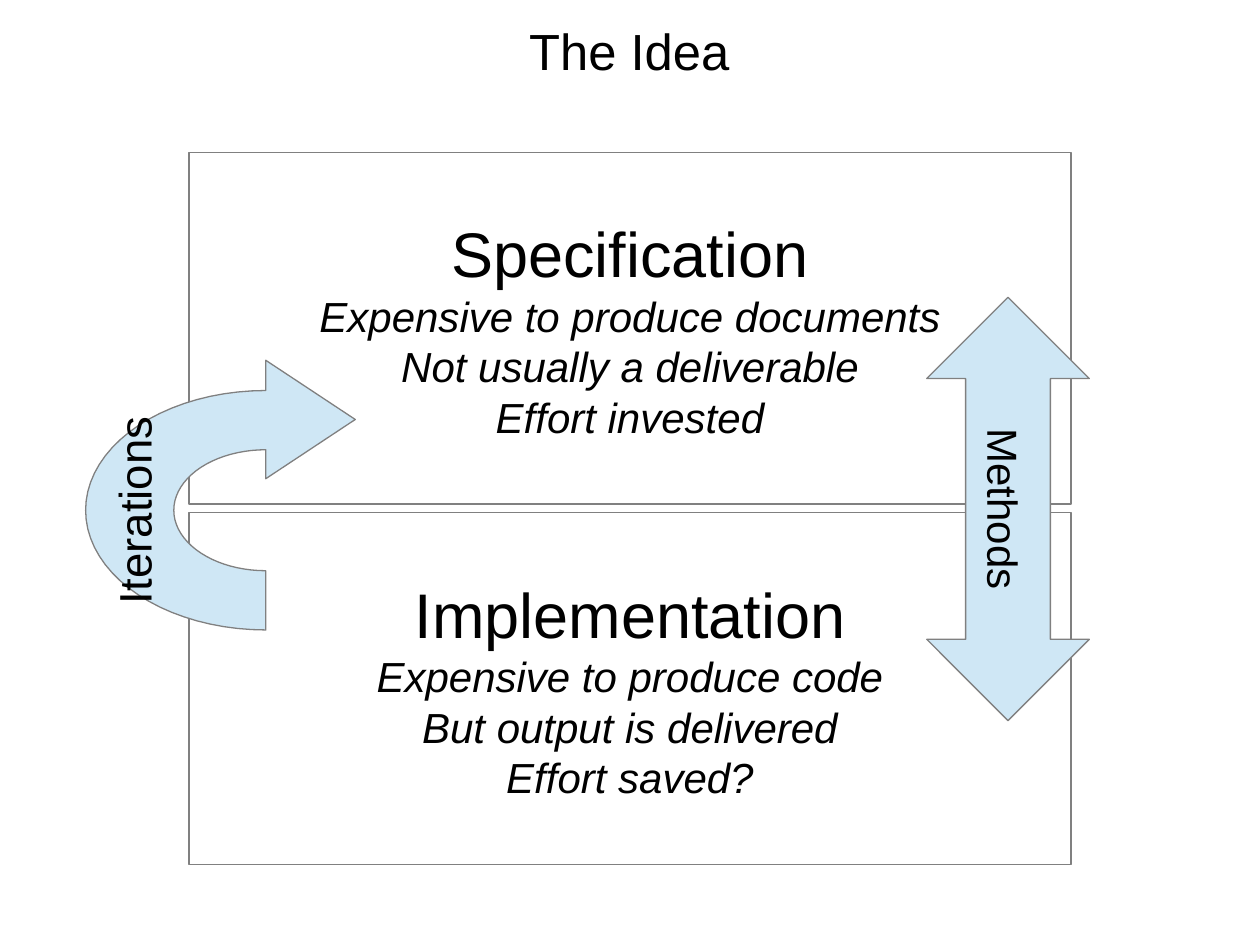
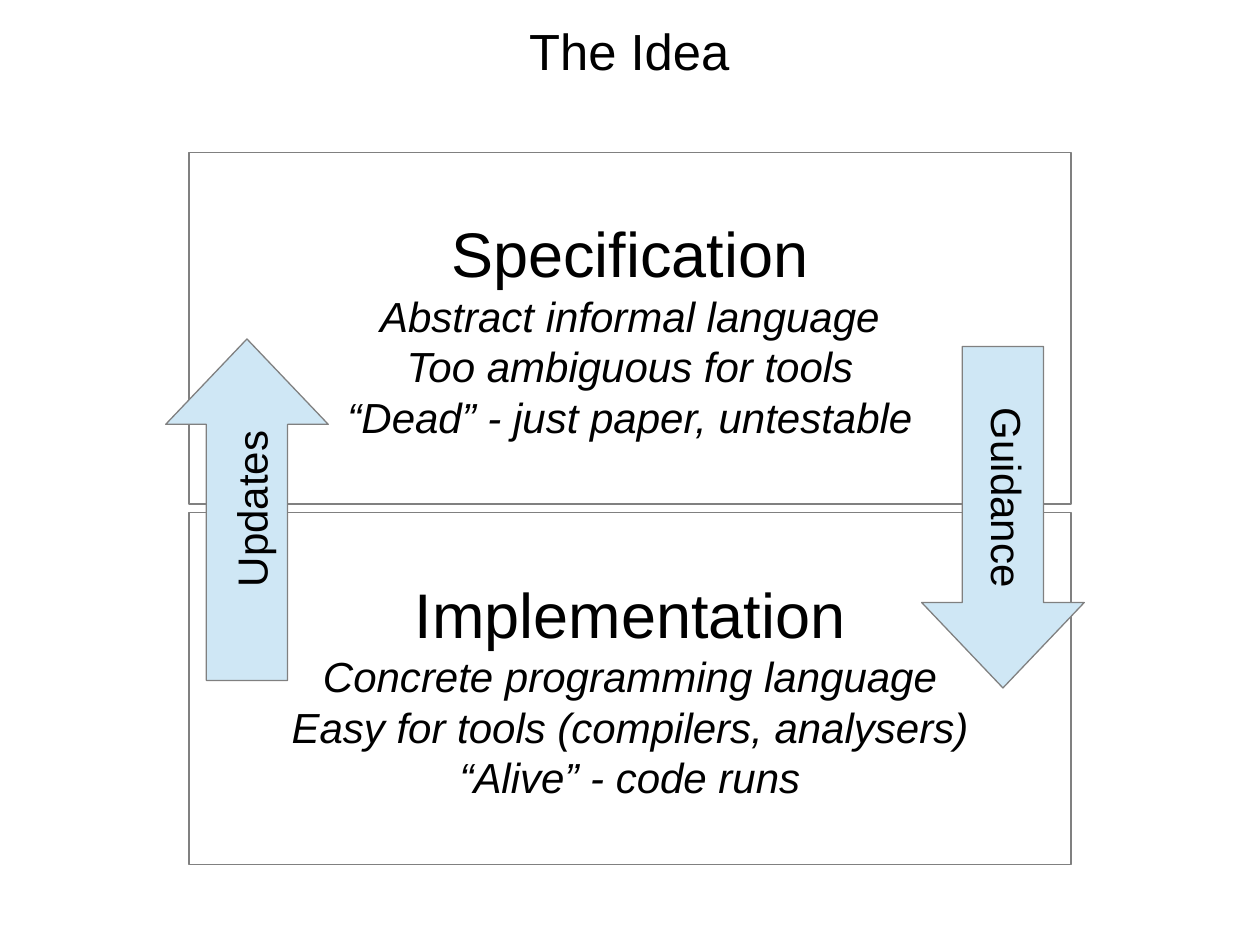
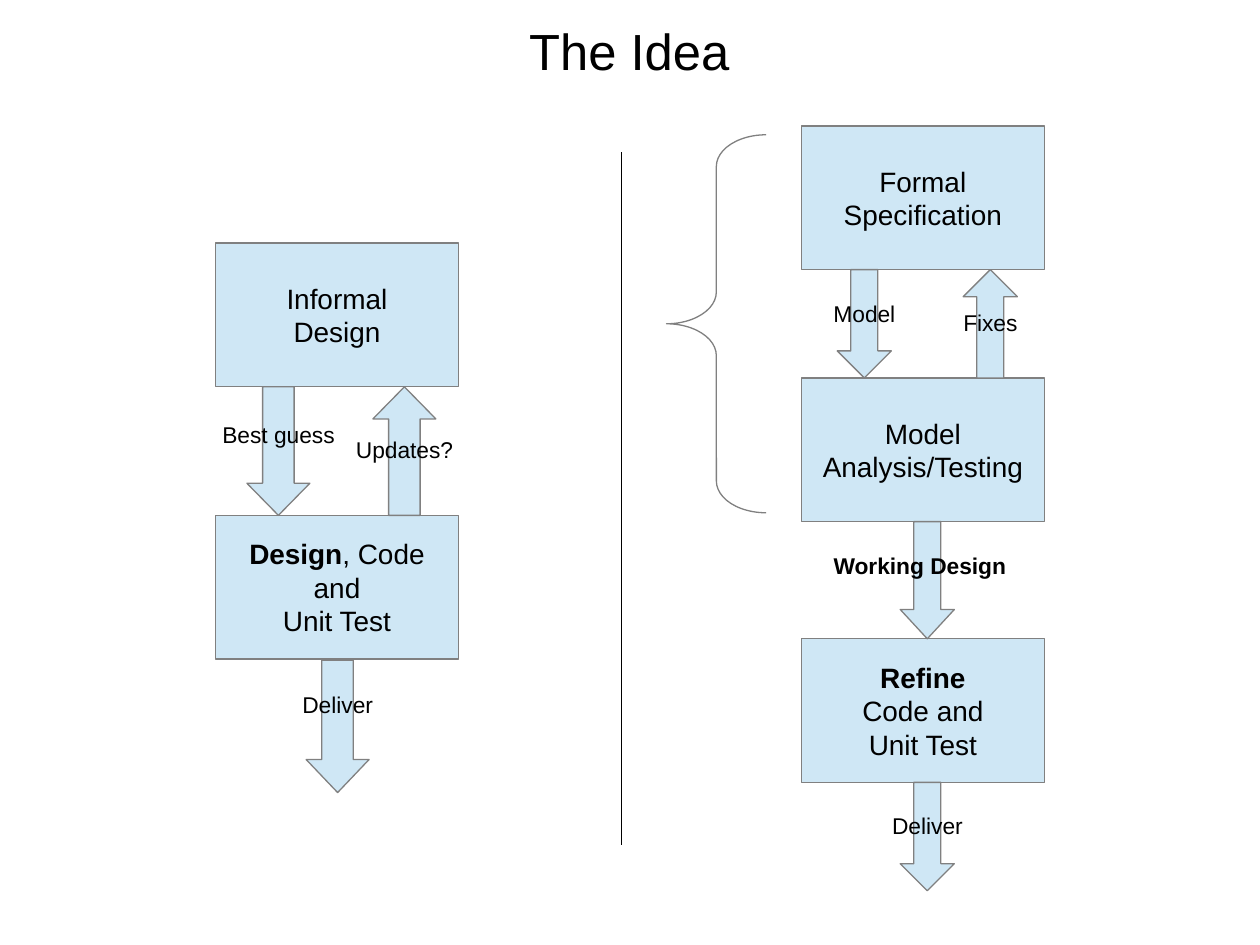
"""Build three slides on specification, implementation and the flow between them."""
import math

import pptx
import pptx.dml.color
import pptx.enum.shapes
import pptx.enum.text
import pptx.oxml
import pptx.oxml.ns
import pptx.util
from pptx.util import Inches

RGB = pptx.dml.color.RGBColor
KIND = pptx.enum.shapes.MSO_SHAPE
ALIGN = pptx.enum.text.PP_ALIGN
ANCHOR = pptx.enum.text.MSO_ANCHOR

BLACK = RGB(0x00, 0x00, 0x00)
GREY = RGB(0x80, 0x80, 0x80)
SKY = RGB(0xCF, 0xE7, 0xF5)
FONT = "Arial"
TITLE = "The Idea"
INSETS = (0.09, 0.04, 0.09, 0.04)

UP, DOWN, BOTH = KIND.UP_ARROW, KIND.DOWN_ARROW, KIND.UP_DOWN_ARROW

PANELS = [
    [("Specification", ["Expensive to produce documents",
                        "Not usually a deliverable", "Effort invested"]),
     ("Implementation", ["Expensive to produce code",
                         "But output is delivered", "Effort saved?"])],
    [("Specification", ["Abstract informal language",
                        "Too ambiguous for tools",
                        "“Dead” - just paper, untestable"]),
     ("Implementation", ["Concrete programming language",
                         "Easy for tools (compilers, analysers)",
                         "“Alive” - code runs"])],
]

# kind, middle x, top, height, label, label middle x, label middle y, turn
BIG = [
    [(BOTH, 8, 2.36, 3.36, "Methods", 7.97, 4.04, 90)],
    [(DOWN, 7.96, 2.75, 2.71, "Guidance", 8, 3.95, 90),
     (UP, 1.96, 2.69, 2.71, "Updates", 1.99, 4.04, 270)],
]

# left, top, lines of (text, bold) runs
STEPS = [
    (1.71, 1.93, [[("Informal", False)], [("Design", False)]]),
    (1.71, 4.09, [[("Design", True), (", Code", False)],
                  [("and", False)], [("Unit Test", False)]]),
    (6.36, 1, [[("Formal", False)], [("Specification", False)]]),
    (6.36, 3, [[("Model", False)], [("Analysis/Testing", False)]]),
    (6.36, 5.07, [[("Refine", True)], [("Code and", False)],
                  [("Unit Test", False)]]),
]

# kind, middle x, top, width, height, label, label middle x, label drop, bold
FLOWS = [
    (DOWN, 2.21, 3.07, 0.5, 1.02, "Best guess", 2.21, 0.38, False),
    (UP, 3.21, 3.07, 0.5, 1.02, "Updates?", 3.21, 0.5, False),
    (DOWN, 2.68, 5.24, 0.5, 1.05, "Deliver", 2.68, 0.35, False),
    (DOWN, 6.86, 2.14, 0.43, 0.86, "Model", 6.86, 0.35, False),
    (UP, 7.86, 2.14, 0.43, 0.86, "Fixes", 7.86, 0.42, False),
    (DOWN, 7.36, 4.14, 0.43, 0.93, "Working Design", 7.3, 0.35, True),
    (DOWN, 7.36, 6.21, 0.43, 0.86, "Deliver", 7.36, 0.34, False),
]


def write(shape, lines, align=ALIGN.CENTER, insets=INSETS):
    frame = shape.text_frame
    frame.word_wrap = True
    frame.vertical_anchor = ANCHOR.MIDDLE
    (frame.margin_left, frame.margin_top,
     frame.margin_right, frame.margin_bottom) = map(Inches, insets)
    for row, runs in enumerate(lines):
        para = frame.add_paragraph() if row else frame.paragraphs[0]
        para.alignment = align
        for text, size, bold, slant in runs:
            run = para.add_run()
            run.text = text
            font = run.font
            font.name, font.size = FONT, pptx.util.Pt(size)
            font.bold, font.italic = bold, slant
            font.color.rgb = BLACK


def paint(shape, fill):
    shape.shadow.inherit = False
    if fill is None:
        shape.fill.background()
    else:
        shape.fill.solid()
        shape.fill.fore_color.rgb = fill
    shape.line.color.rgb = GREY
    shape.line.width = pptx.util.Pt(0.75)
    return shape


def draw(slide, kind, left, top, width, height, fill=SKY):
    return paint(slide.shapes.add_shape(
        kind, *map(Inches, (left, top, width, height))), fill)


def arrow(slide, kind, mid, top, width, height):
    shape = draw(slide, kind, mid - width / 2, top, width, height)
    share = 0.2 if kind == BOTH else 0.25
    shape.adjustments[0] = 0.5
    shape.adjustments[1] = share * height / min(width, height)


def label(slide, text, mid, level, width, size, turn=0, bold=False):
    height = 0.5 if turn else 0.4
    box = slide.shapes.add_textbox(*map(Inches, (
        mid - width / 2, level - height / 2, width, height)))
    box.rotation = turn
    write(box, [[(text, size, bold, False)]])


def title(slide):
    box = slide.shapes.add_textbox(*map(Inches, (4.2, 0.05, 1.6, 0.7)))
    write(box, [[(TITLE, 29, False, False)]], ALIGN.LEFT, (0, 0, 0, 0))


def curve(mid, level, wide, high, steps=40):
    turns = [math.pi * (0.5 + step / steps) for step in range(steps + 1)]
    return [(mid + wide * math.cos(turn), level - high * math.sin(turn))
            for turn in turns]


def loop(slide):
    mid, level = 2.11, 4.05
    inner = curve(mid, level, 0.73, 0.48)
    outer = curve(mid, level, 1.43, 0.95)
    head = [(mid, 2.86), (2.82, 3.33), (mid, 3.8)]
    points = [(Inches(x), Inches(y)) for x, y in inner + outer[::-1] + head]
    form = slide.shapes.build_freeform(*points[0], scale=1.0)
    form.add_line_segments(points[1:], close=True)
    paint(form.convert_to_shape(), SKY)
    label(slide, "Iterations", 1.06, level, 1.83, 26, 270)


def panels(slide, pair, arrows):
    for row, (head, notes) in enumerate(pair):
        box = draw(slide, KIND.RECTANGLE, 1.5, 1.21 + row * 2.86, 7, 2.79, None)
        write(box, [[(head, 36, False, False)]]
              + [[(note, 24, False, True)] for note in notes])
    for kind, mid, top, height, text, across, level, turn in arrows:
        arrow(slide, kind, mid, top, 1.29, height)
        label(slide, text, across, level, 2.71, 24, turn)


def process(slide):
    rule = slide.shapes.add_connector(
        pptx.enum.shapes.MSO_CONNECTOR.STRAIGHT,
        *map(Inches, (4.93, 1.21, 4.93, 6.71)))
    rule.line.color.rgb = BLACK
    rule.line.width = pptx.util.Pt(0.75)
    rule._element.spPr.append(pptx.oxml.parse_xml(
        "<a:effectLst %s/>" % pptx.oxml.ns.nsdecls("a")))
    for left, top, lines in STEPS:
        box = draw(slide, KIND.RECTANGLE, left, top, 1.93, 1.14)
        write(box, [[(text, 16, bold, False) for text, bold in runs]
                    for runs in lines])
    brace = draw(slide, KIND.LEFT_BRACE, 5.29, 1.07, 0.79, 3, None)
    brace.adjustments[0] = 0.32
    for kind, mid, top, width, height, text, across, drop, bold in FLOWS:
        arrow(slide, kind, mid, top, width, height)
        label(slide, text, across, top + drop, 1.93 if bold else 1.17, 13,
              bold=bold)


def main():
    deck = pptx.Presentation()
    deck.slide_width, deck.slide_height = Inches(10), Inches(7.5)
    first, second, third = [deck.slides.add_slide(deck.slide_layouts[6])
                            for _ in range(3)]
    for slide, pair, arrows in zip((first, second), PANELS, BIG):
        panels(slide, pair, arrows)
    loop(first)
    process(third)
    for slide in deck.slides:
        title(slide)
    deck.save("out.pptx")


if __name__ == "__main__":
    main()
